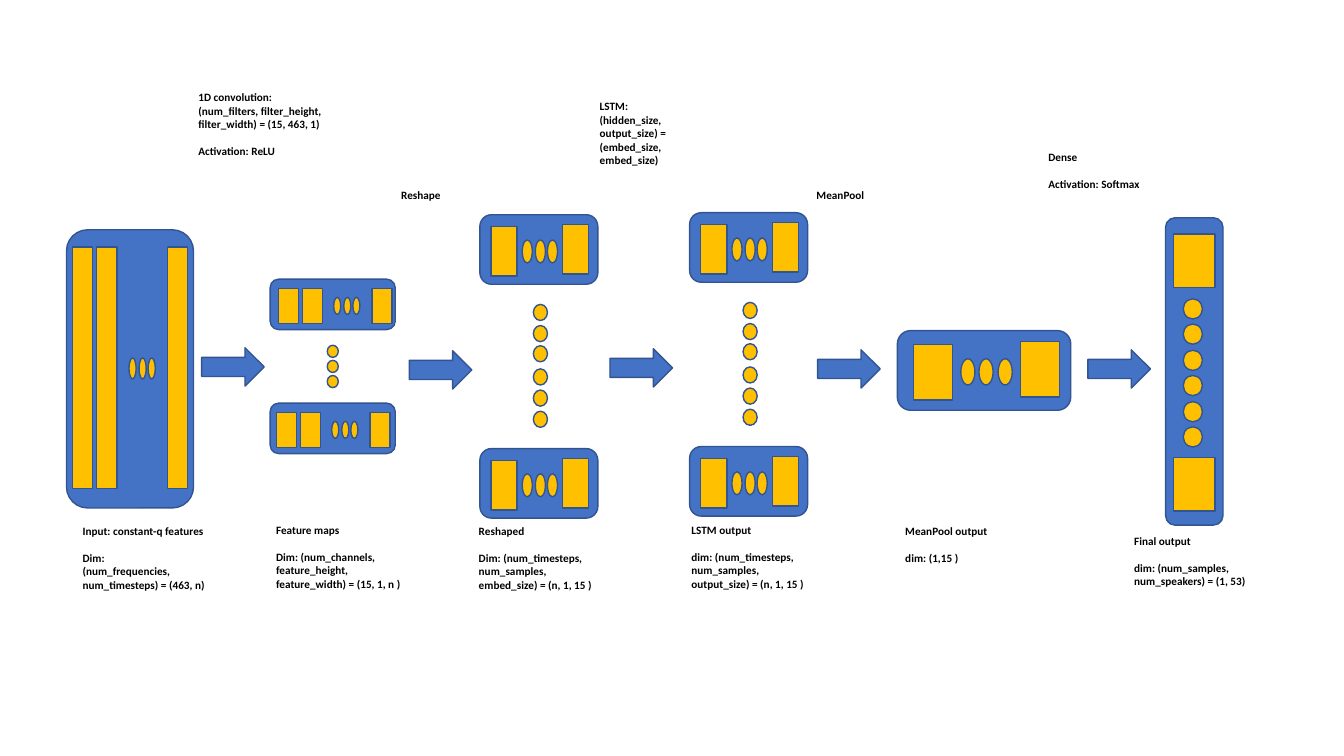
import pptx
import pptx.util
import pptx.dml.color
import pptx.enum.shapes
import pptx.enum.text

SHAPE = pptx.enum.shapes.MSO_SHAPE
EMU_PER_PX = 9144


def colour(code):
    """Turn a hex string into a colour."""
    return pptx.dml.color.RGBColor.from_string(code)


class Diagram:
    """Draws the network's parts on one slide in one style."""

    FONT, SIZE, LINE_HEIGHT = "Calibri", 8, 9.8
    BLUE, GOLD, EDGE, INK = "4472C4", "FFC000", "325491", "000000"

    def __init__(self, slide):
        """Keep the slide to draw on."""
        self.slide = slide

    def lengths(self, *pixels):
        """Scale pixels to slide units."""
        return [pptx.util.Emu(pixel * EMU_PER_PX) for pixel in pixels]

    def shape(self, kind, frame, fill, rotation=0):
        """Add one filled and outlined shape."""
        shape = self.slide.shapes.add_shape(kind, *self.lengths(*frame))
        shape.rotation = rotation
        shape.shadow.inherit = False
        shape.fill.solid()
        shape.fill.fore_color.rgb = colour(fill)
        shape.line.color.rgb = colour(self.EDGE)
        shape.line.width = pptx.util.Pt(1)

    def panel(self, *frame, rotation=0):
        """Add a blue rounded layer panel."""
        self.shape(SHAPE.ROUNDED_RECTANGLE, frame, self.BLUE, rotation)

    def bar(self, *frame, rotation=0):
        """Add a gold vector bar."""
        self.shape(SHAPE.RECTANGLE, frame, self.GOLD, rotation)

    def arrow(self, left, top):
        """Add an arrow between two layers."""
        self.shape(SHAPE.RIGHT_ARROW, (left, top, 62, 38), self.BLUE)

    def dots_across(self, left, top, width, height, pitch):
        """Add three dots in a row."""
        for step in range(3):
            frame = (left + round(step * pitch), top, width, height)
            self.shape(SHAPE.OVAL, frame, self.GOLD)

    def dots_down(self, left, tops, width, height):
        """Add a column of turned dots."""
        for top in tops:
            self.shape(SHAPE.OVAL, (left, top, width, height), self.GOLD, 90)

    def label(self, left, top, width, height, text):
        """Add a bold label whose blocks stand one line apart."""
        box = self.slide.shapes.add_textbox(*self.lengths(left, top, width, height))
        frame = box.text_frame
        frame.word_wrap = True
        frame.auto_size = pptx.enum.text.MSO_AUTO_SIZE.SHAPE_TO_FIT_TEXT
        blocks = [block.split("\n") for block in text.split("\n\n")]
        frame.text = "\n".join(line for block in blocks for line in block)
        starts = {sum(map(len, blocks[:index])) for index in range(1, len(blocks))}
        for index, para in enumerate(frame.paragraphs):
            if index in starts:
                para.space_before = pptx.util.Pt(self.LINE_HEIGHT)
            for span in para.runs:
                span.font.name = self.FONT
                span.font.size = pptx.util.Pt(self.SIZE)
                span.font.bold = True
                span.font.color.rgb = colour(self.INK)


LABELS = [
    (72, 515, 151, 150, "Input: constant-q features\n\nDim:\n(num_frequencies, num_timesteps) = (463, n)"),
    (187, 85, 147, 150, "1D convolution:\n(num_filters, filter_height, filter_width) = (15, 463, 1)\n\nActivation: ReLU"),
    (264, 514, 152, 84, "Feature maps\n\nDim: (num_channels,\nfeature_height, feature_width) = (15, 1, n )"),
    (585, 94, 127, 112, "LSTM:\n(hidden_size, output_size) = (embed_size, embed_size)"),
    (388, 182, 91, 34, "Reshape"),
    (465, 515, 140, 84, "Reshaped\n\nDim: (num_timesteps, num_samples, embed_size) = (n, 1, 15 )"),
    (800, 182, 104, 34, "MeanPool"),
    (676, 514, 144, 84, "LSTM output\n\ndim: (num_timesteps, num_samples,\noutput_size) = (n, 1, 15 )"),
    (888, 515, 145, 73, "MeanPool output\n\ndim: (1,15 )"),
    (1030, 144, 159, 73, "Dense\n\nActivation: Softmax"),
    (1115, 525, 139, 131, "Final output\n\ndim: (num_samples, num_speakers) = (1, 53)"),
]
ARROWS = [(200, 345), (406, 348), (605, 346), (811, 347), (1079, 347)]


def draw_input(diagram):
    """Draw the input features."""
    diagram.panel(66, 228, 126, 276)
    for left in (72, 96, 166):
        diagram.bar(left, 245, 20, 240)
    diagram.dots_across(128, 355, 7, 21, 9.5)


def draw_feature_maps(diagram):
    """Draw the two feature maps and the dots between them."""
    for top, inset in ((277, 8), (400, 6)):
        start = 268 + inset
        diagram.panel(268, top, 124, 50)
        for offset in (0, 24, 93):
            diagram.bar(start + offset, top + 9, 20, 35)
        diagram.dots_across(start + 55, top + 18, 7, 17, 9.5)
    diagram.dots_down(324, range(343, 374, 15), 12, 11)


def draw_sequence(diagram, left, top):
    """Draw the first and last sample of a sequence and the dots between."""
    for sample_top in (top, top + 232):
        diagram.panel(left, sample_top, 117, 69)
        diagram.bar(left + 11, sample_top + 12, 26, 49)
        diagram.bar(left + 82, sample_top + 10, 26, 49)
        diagram.dots_across(left + 42, sample_top + 25, 10, 23, 12.7)
    tops = [top + offset for offset in (90, 111, 131, 154, 175, 196)]
    diagram.dots_down(left + 52, tops, 16, 14)


def draw_mean_pool(diagram):
    """Draw the pooled vector."""
    diagram.panel(890, 328, 172, 79)
    diagram.bar(906, 342, 39, 55)
    diagram.bar(1012, 339, 39, 55)
    diagram.dots_across(953, 356, 14, 26, 18.5)


def draw_final_output(diagram):
    """Draw the upright speaker scores."""
    diagram.panel(1032, 340, 305, 57, rotation=90)
    for top in (238, 460):
        diagram.bar(1158, top, 53, 41, rotation=90)
    tops = [297 + round(step * 25.4) for step in range(6)]
    diagram.dots_down(1173, tops, 20, 19)


def main():
    """Build and save the deck."""
    deck = pptx.Presentation()
    deck.slide_width = pptx.util.Inches(13.33)
    deck.slide_height = pptx.util.Inches(7.5)
    diagram = Diagram(deck.slides.add_slide(deck.slide_layouts[6]))
    for label in LABELS:
        diagram.label(*label)
    draw_input(diagram)
    draw_feature_maps(diagram)
    draw_sequence(diagram, 476, 213)
    draw_sequence(diagram, 684, 211)
    draw_mean_pool(diagram)
    draw_final_output(diagram)
    for arrow in ARROWS:
        diagram.arrow(*arrow)
    deck.save("out.pptx")


if __name__ == "__main__":
    main()
